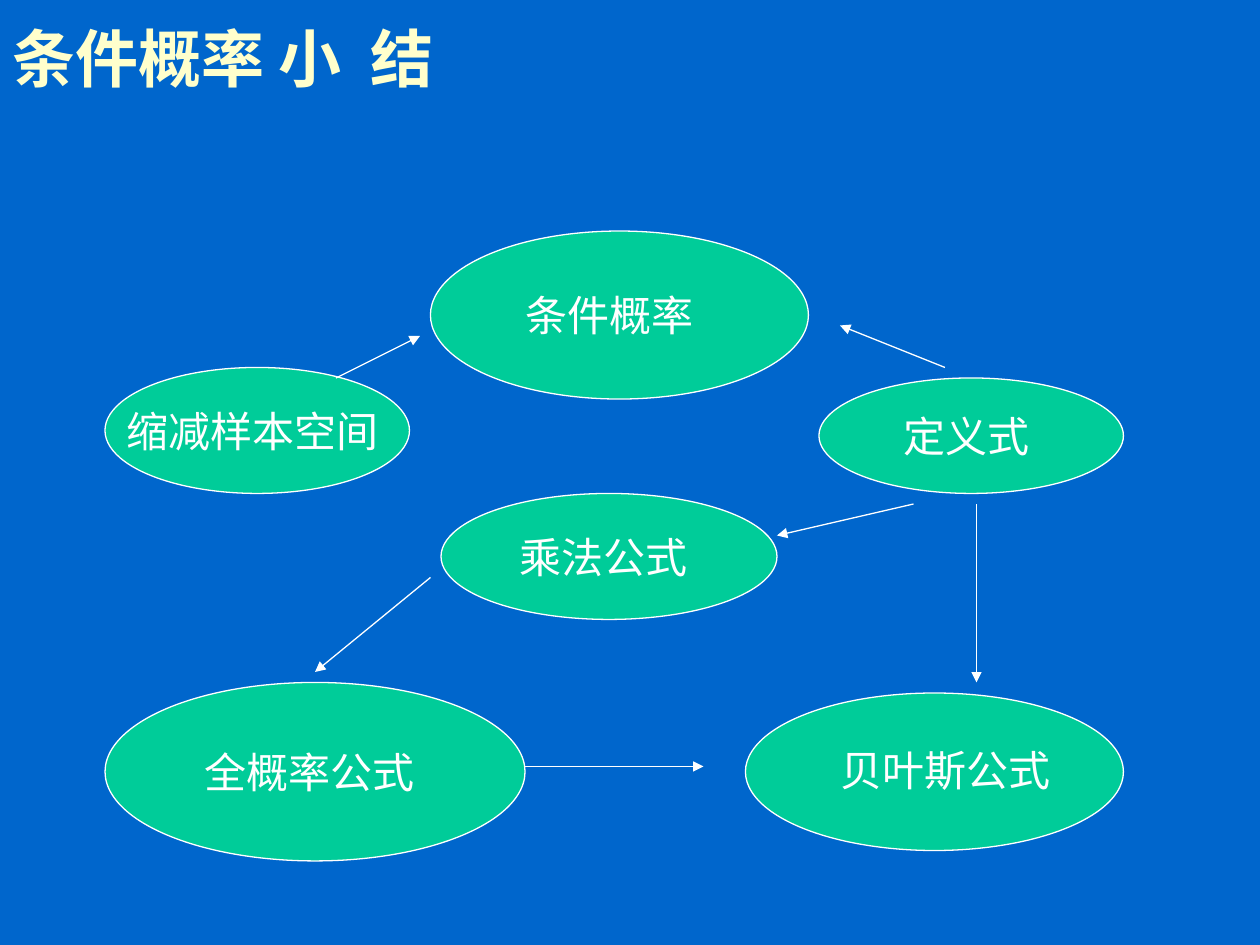
from lxml import etree
from pptx import Presentation
from pptx import util as u
from pptx.dml.color import RGBColor
from pptx.enum import shapes, text
from pptx.oxml import ns

BLUE = RGBColor(0x00, 0x66, 0xCC)
GREEN = RGBColor(0x00, 0xCC, 0x99)
WHITE = RGBColor(0xFF, 0xFF, 0xFF)
CREAM = RGBColor(0xFF, 0xFF, 0xCC)

COLS, ROWS = 120, 90
FACE = "Times New Roman"
HEAD = {"name": FACE, "size": u.Pt(36), "bold": True}
BODY = {"name": FACE, "size": u.Pt(24)}
MID = {"vertical_anchor": text.MSO_ANCHOR.MIDDLE}
SPACE = u.Inches(0.08)

NODES = [
    ("条件概率", (41, 22, 36, 16), 2),
    ("缩减样本空间", (10, 35, 29, 12), 1),
    ("定义式", (78, 36, 29, 11), 1),
    ("乘法公式", (42, 47, 32, 12), 1),
    ("全概率公式", (10, 65, 40, 17), 1),
    ("", (71, 66, 36, 15), 0),
]
LABEL = ("贝叶斯公式", (78.84, 70.32, 22.44, 6))
LINKS = [
    (32, 36, 40, 32),
    (90, 35, 80, 31),
    (87, 48, 74, 51),
    (41, 55, 30, 64),
    (50, 73, 67, 73),
    (93, 48, 93, 65),
]


def apply(obj, vals):
    """Set each named attribute of an object."""
    for key, val in vals.items():
        setattr(obj, key, val)


def place(box, cells):
    """Turn grid cells into lengths within a box."""
    left, top, wide, high = box
    col, row = wide / COLS, high / ROWS
    x, y, w, h = cells
    return [round(n) for n in (left + x * col, top + y * row, w * col, h * row)]


def write(shape, words, font, color, align, frame):
    """Put one styled line of text in a shape."""
    body = shape.text_frame
    apply(body, frame)
    para = body.paragraphs[0]
    para.alignment = align
    run = para.add_run()
    run.text = words
    apply(run.font, font)
    run.font.color.rgb = color


def edge(line):
    """Give a line its thin white stroke."""
    line.color.rgb = WHITE
    line.width = u.Pt(0.75)


def node(slide, box, words, cells, pad):
    """Draw an oval with its text nudged left by a padding."""
    oval = slide.shapes.add_shape(shapes.MSO_SHAPE.OVAL, *place(box, cells))
    oval.shadow.inherit = False
    oval.fill.solid()
    oval.fill.fore_color.rgb = GREEN
    edge(oval.line)
    if words:
        frame = {**MID, "word_wrap": False,
                 "margin_right": u.Inches(0.1) + pad * SPACE}
        write(oval, words, BODY, WHITE, text.PP_ALIGN.CENTER, frame)


def link(slide, box, ends):
    """Draw an arrow between two grid points."""
    start, stop = (place(box, (*p, 0, 0))[:2] for p in (ends[:2], ends[2:]))
    line = slide.shapes.add_connector(
        shapes.MSO_CONNECTOR.STRAIGHT, *start, *stop)
    edge(line.line)
    props = line.line._get_or_add_ln()
    etree.SubElement(props, ns.qn("a:tailEnd"), type="triangle")
    etree.SubElement(line._element.spPr, ns.qn("a:effectLst"))


def title(slide, box):
    """Write the heading in the top band of the box."""
    head = slide.shapes.add_textbox(*place(box, (0, 0, 117, 11)))
    write(head, "条件概率 小  结", HEAD, CREAM, text.PP_ALIGN.LEFT,
          {**MID, "word_wrap": True})


def chart(slide, box):
    """Draw the ovals, the arrows and the loose label."""
    for item in NODES:
        node(slide, box, *item)
    for ends in LINKS:
        link(slide, box, ends)
    words, cells = LABEL
    note = slide.shapes.add_textbox(*place(box, cells))
    write(note, words, BODY, WHITE, text.PP_ALIGN.LEFT, {"word_wrap": False})


def main():
    """Build and save the slide."""
    deck = Presentation()
    apply(deck, {"slide_width": u.Inches(10), "slide_height": u.Inches(7.5)})
    slide = deck.slides.add_slide(deck.slide_layouts[6])
    back = slide.background.fill
    back.solid()
    back.fore_color.rgb = BLUE
    box = (0, 0, deck.slide_width, deck.slide_height)
    title(slide, box)
    chart(slide, box)
    deck.save("out.pptx")


if __name__ == "__main__":
    main()
